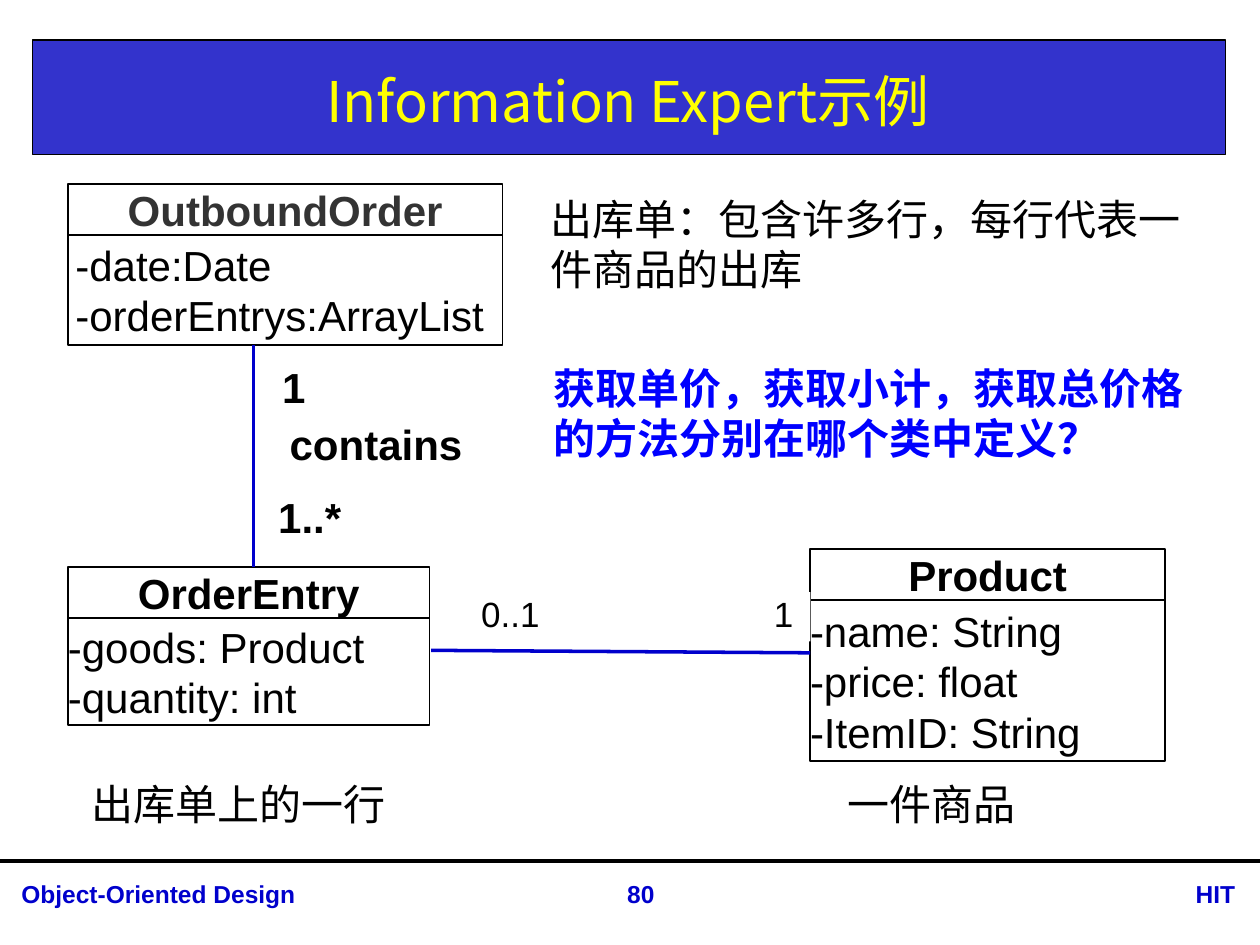
import pptx
import pptx.dml.color
import pptx.enum.shapes
import pptx.enum.text
import pptx.oxml
import pptx.oxml.ns
import pptx.util

Cm = pptx.util.Cm
ALIGN = pptx.enum.text.PP_ALIGN
ANCHOR = pptx.enum.text.MSO_ANCHOR

THEME = {
    "latin": "Arial", "cjk": "Noto Sans CJK SC",
    "black": "000000", "white": "FFFFFF", "grey": "333333",
    "banner": "3333CC", "title": "FFFF00", "link": "0000CC", "question": "0000FF",
    "title_size": 32, "body_size": 24, "small_size": 20, "footer_size": 14,
}

# Content; all lengths in centimetres
PAGE_WIDTH, PAGE_HEIGHT = 25.4, 19.05
HEADER_HEIGHT = 1.03
RULE_TOP = 17.35
TITLE = "Information Expert示例"
FOOTERS = [  # text, left, width, alignment
    ("Object-Oriented Design", 0.18, 11.76, ALIGN.LEFT),
    ("HIT", 22.53, 2.62, ALIGN.RIGHT),
    ("80", 11.61, 2.62, ALIGN.CENTER),
]
CLASSES = [  # name, name colour, fields, (left, top, width), body height, body insets
    ("OrderEntry", "black", ["-goods: Product", "-quantity: int"],
     (1.37, 11.43, 7.29), 2.16, (0, 0.05)),
    ("Product", "black", ["-name: String", "-price: float", "-ItemID: String"],
     (16.33, 11.07, 7.16), 3.25, (0, 0.08)),
    ("OutboundOrder", "grey", ["-date:Date", "-orderEntrys:ArrayList"],
     (1.37, 3.71, 8.76), 2.21, (0.15, 0.08)),
]
ASSOCIATIONS = [(5.11, 6.96, 5.11, 11.43), (8.69, 13.11, 16.33, 13.16)]
LABELS = [  # text, position, size name, bold
    ("1..*", (5.61, 9.91, 2.57, 1.3), "body_size", True),
    ("1", (5.69, 7.29, 0.71, 1.02), "body_size", True),
    ("1", (15.6, 11.94, 0.74, 0.99), "small_size", False),
    ("0..1", (9.7, 11.94, 2.41, 1.02), "small_size", False),
    ("contains", (5.84, 8.43, 4.32, 1.09), "body_size", True),
]
NOTES = [  # text, position, wrap, colour, bold
    ("出库单上的一行", (1.6, 15.57, 6.5, 1.27), False, "black", False),
    ("一件商品", (16.84, 15.57, 3.94, 1.27), False, "black", False),
    ("出库单：包含许多行，每行代表一件商品的出库",
     (10.85, 3.76, 13.82, 2.31), True, "black", False),
    ("获取单价，获取小计，获取总价格的方法分别在哪个类中定义？",
     (10.9, 7.16, 13.82, 2.31), True, "question", True),
]


def rgb(name):
    return pptx.dml.color.RGBColor.from_string(THEME[name])


def add_rectangle(page, position, fill, line_width=None):
    box = page.shapes.add_shape(
        pptx.enum.shapes.MSO_SHAPE.RECTANGLE, *[Cm(value) for value in position])
    box.shadow.inherit = False
    box.fill.solid()
    box.fill.fore_color.rgb = rgb(fill)
    if line_width:
        box.line.color.rgb = rgb("black")
        box.line.width = pptx.util.Pt(line_width)
    else:
        box.line.fill.background()
    return box


def add_text_box(page, position):
    return page.shapes.add_textbox(*[Cm(value) for value in position])


def write(box, *lines, size="body_size", font="latin", color="black", bold=False,
          align=ALIGN.LEFT, anchor=ANCHOR.MIDDLE, insets=(0.25, 0.13), wrap=True):
    frame = box.text_frame
    frame.word_wrap = wrap
    frame.vertical_anchor = anchor
    frame.margin_left = frame.margin_right = Cm(insets[0])
    frame.margin_top = frame.margin_bottom = Cm(insets[1])
    for index, line in enumerate(lines):
        para = frame.add_paragraph() if index else frame.paragraphs[0]
        para.alignment = align
        span = para.add_run()
        span.text = line
        span.font.size = pptx.util.Pt(THEME[size])
        span.font.bold = bold
        span.font.color.rgb = rgb(color)
        span.font.name = THEME[font]
        east_asian = pptx.oxml.parse_xml(
            f'<a:ea {pptx.oxml.ns.nsdecls("a")} typeface="{THEME["cjk"]}"/>')
        span.font._element.append(east_asian)


def add_line(page, ends, color, width):
    line = page.shapes.add_connector(
        pptx.enum.shapes.MSO_CONNECTOR.STRAIGHT, *[Cm(value) for value in ends])
    line.line.color.rgb = rgb(color)
    line.line.width = pptx.util.Pt(width)
    line._element.spPr.append(
        pptx.oxml.parse_xml(f'<a:effectLst {pptx.oxml.ns.nsdecls("a")}/>'))


def main():
    deck = pptx.Presentation()
    deck.slide_width, deck.slide_height = Cm(PAGE_WIDTH), Cm(PAGE_HEIGHT)
    page = deck.slides.add_slide(deck.slide_layouts[6])

    # Banner, rule and footer
    add_rectangle(page, (0.66, 0.81, 24.05, 2.31), "banner", 0.75)
    add_line(page, (0, RULE_TOP, PAGE_WIDTH, RULE_TOP), "black", 2.25)
    for text, left, width, align in FOOTERS:
        write(add_text_box(page, (left, RULE_TOP + 0.25, width, 0.86)), text,
              size="footer_size", color="link", bold=True, align=align,
              anchor=ANCHOR.TOP)
    write(add_text_box(page, (0.66, 0.91, 24, 2.21)), TITLE, size="title_size",
          font="cjk", color="title", align=ALIGN.CENTER)

    # Class boxes: a name above its fields
    for name, color, fields, (left, top, width), height, insets in CLASSES:
        header = add_rectangle(page, (left, top, width, HEADER_HEIGHT), "white", 1)
        write(header, name, color=color, bold=True, align=ALIGN.CENTER, insets=(0, 0))
        body = add_rectangle(
            page, (left, top + HEADER_HEIGHT, width, height), "white", 1)
        write(body, *fields, insets=insets)

    # Associations and their labels
    for ends in ASSOCIATIONS:
        add_line(page, ends, "link", 2)
    for text, position, size, bold in LABELS:
        write(add_rectangle(page, position, "white"), text, size=size, bold=bold,
              anchor=ANCHOR.TOP, insets=(0, 0))

    # Explanations and question
    for text, position, wrap, color, bold in NOTES:
        write(add_text_box(page, position), text, font="cjk", color=color,
              bold=bold, wrap=wrap)

    deck.save("out.pptx")


if __name__ == "__main__":
    main()
